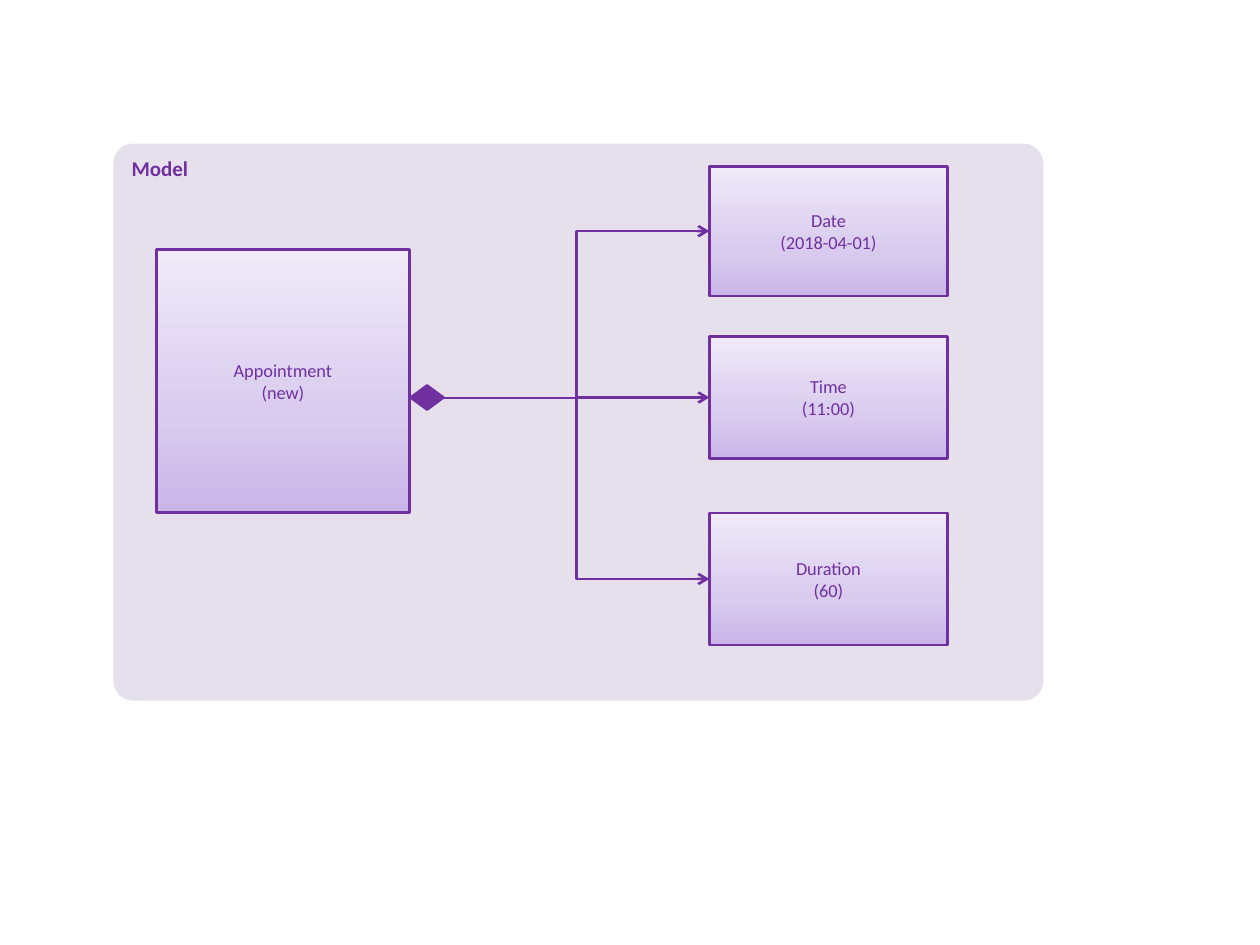
from copy import deepcopy

from lxml import etree
from pptx import Presentation
from pptx.dml.color import RGBColor
from pptx.enum.shapes import MSO_CONNECTOR, MSO_SHAPE
from pptx.enum.text import MSO_ANCHOR, PP_ALIGN
from pptx.oxml.ns import qn
from pptx.util import Inches, Pt

RECTANGLE = MSO_SHAPE.RECTANGLE
ROUNDED = MSO_SHAPE.ROUNDED_RECTANGLE
DIAMOND = MSO_SHAPE.FLOWCHART_DECISION
ELBOW = MSO_CONNECTOR.ELBOW
TOP, MIDDLE = MSO_ANCHOR.TOP, MSO_ANCHOR.MIDDLE
LEFT, CENTER = PP_ALIGN.LEFT, PP_ALIGN.CENTER

COLORS = {"purple": "7030A0", "panel": "E6E0EC",
          "dark": "C9B5E8", "middle": "D8CBEE", "light": "F0EAF9"}
GRADIENT = [(0, "dark"), (0.35, "middle"), (1, "light")]


def color(name):
    return RGBColor.from_string(COLORS[name])


class ModelDiagram:
    """Draws the parts of an object model in one style."""

    font = "Calibri"
    line_width = Pt(1.5)

    def __init__(self, page):
        self.page = page

    def shape(self, kind, place, fill=None, outlined=True):
        shape = self.page.shapes.add_shape(kind, *map(Inches, place))
        shape.shadow.inherit = False
        if fill:
            shape.fill.solid()
            shape.fill.fore_color.rgb = color(fill)
        if outlined:
            self.outline(shape.line)
        else:
            shape.line.fill.background()
        return shape

    def outline(self, line):
        line.color.rgb = color("purple")
        line.width = self.line_width

    def label(self, shape, lines, size, anchor=MIDDLE, align=CENTER, bold=False):
        frame = shape.text_frame
        frame.word_wrap = True
        frame.vertical_anchor = anchor
        for index, text in enumerate(lines):
            para = frame.add_paragraph() if index else frame.paragraphs[0]
            para.alignment = align
            span = para.add_run()
            span.text = text
            span.font.name = self.font
            span.font.size = Pt(size)
            span.font.bold = bold
            span.font.color.rgb = color("purple")

    def panel(self, place, title):
        shape = self.shape(ROUNDED, place, "panel", outlined=False)
        shape.adjustments[0] = 0.035
        self.label(shape, [title], 12, TOP, LEFT, bold=True)

    def entity(self, place, lines):
        shape = self.shape(RECTANGLE, place)
        shape.fill.gradient()
        shape.fill.gradient_angle = 90
        stops = shape.element.spPr.find(".//" + qn("a:gsLst"))
        stops.insert(1, deepcopy(stops[0]))
        for stop, (position, name) in zip(shape.fill.gradient_stops, GRADIENT):
            stop.position = position
            stop.color.rgb = color(name)
        self.label(shape, lines, 10.5)

    def arrow(self, start, end):
        connector = self.page.shapes.add_connector(
            ELBOW, *map(Inches, (*start, *end)))
        self.outline(connector.line)
        properties = connector.element.spPr
        line = properties.find(qn("a:ln"))
        etree.SubElement(line, qn("a:tailEnd"), type="arrow")
        etree.SubElement(properties, qn("a:effectLst"))


deck = Presentation()
deck.slide_width, deck.slide_height = Inches(10), Inches(7.5)
diagram = ModelDiagram(deck.slides.add_slide(deck.slide_layouts[6]))

diagram.panel((0.9, 1.14, 7.38, 4.42), "Model")
diagram.entity((1.24, 1.98, 2.01, 2.09), ["Appointment", "(new)"])
diagram.shape(DIAMOND, (3.26, 3.06, 0.26, 0.19), "purple")

part_left, part_width = 5.63, 1.89
parts = [(1.32, 1.03, "Date", "(2018-04-01)"),
         (2.67, 0.97, "Time", "(11:00)"),
         (4.07, 1.05, "Duration", "(60)")]
for top, height, name, value in parts:
    diagram.entity((part_left, top, part_width, height), [name, value])
    diagram.arrow((3.52, 3.16), (part_left, top + height / 2))

deck.save("out.pptx")
